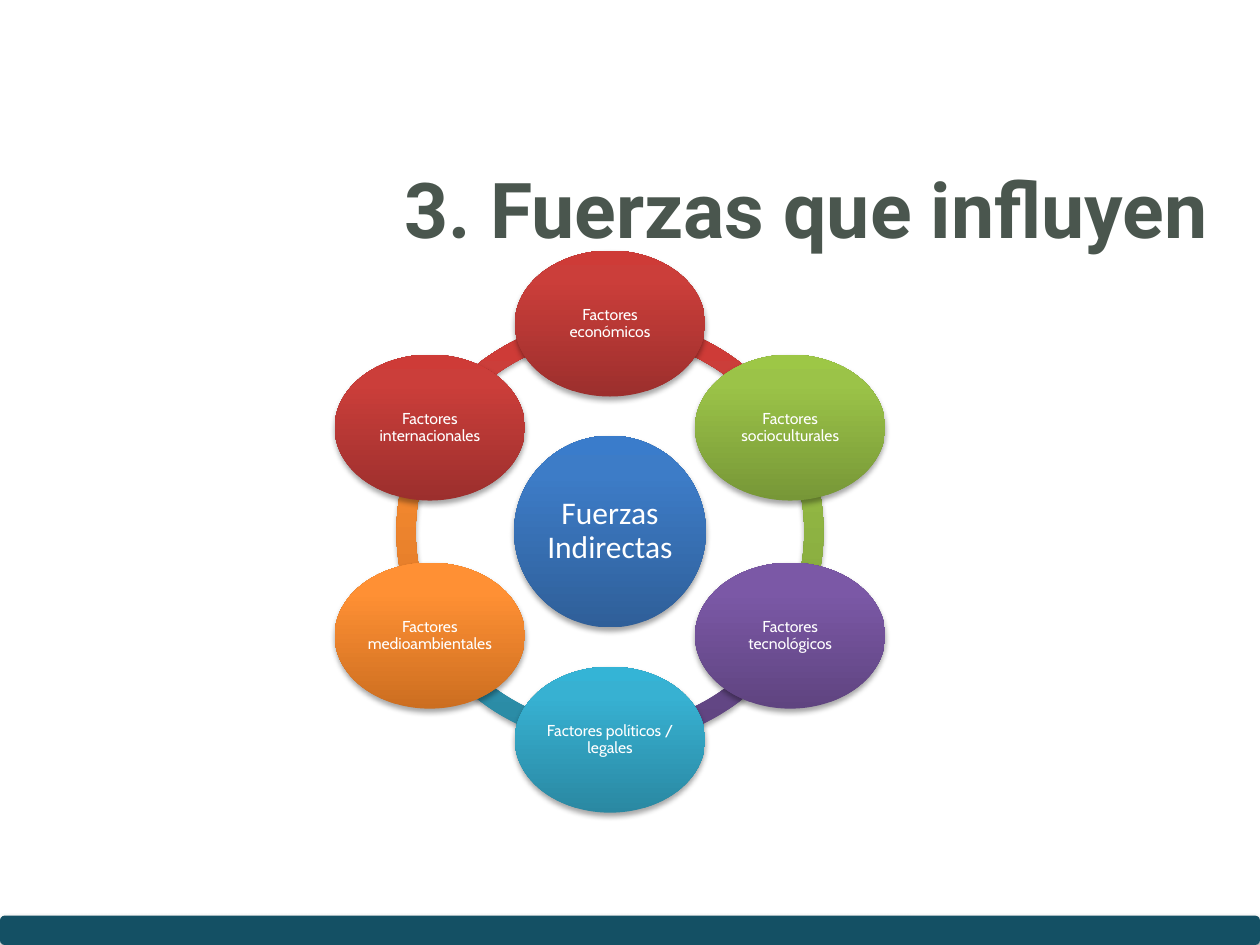
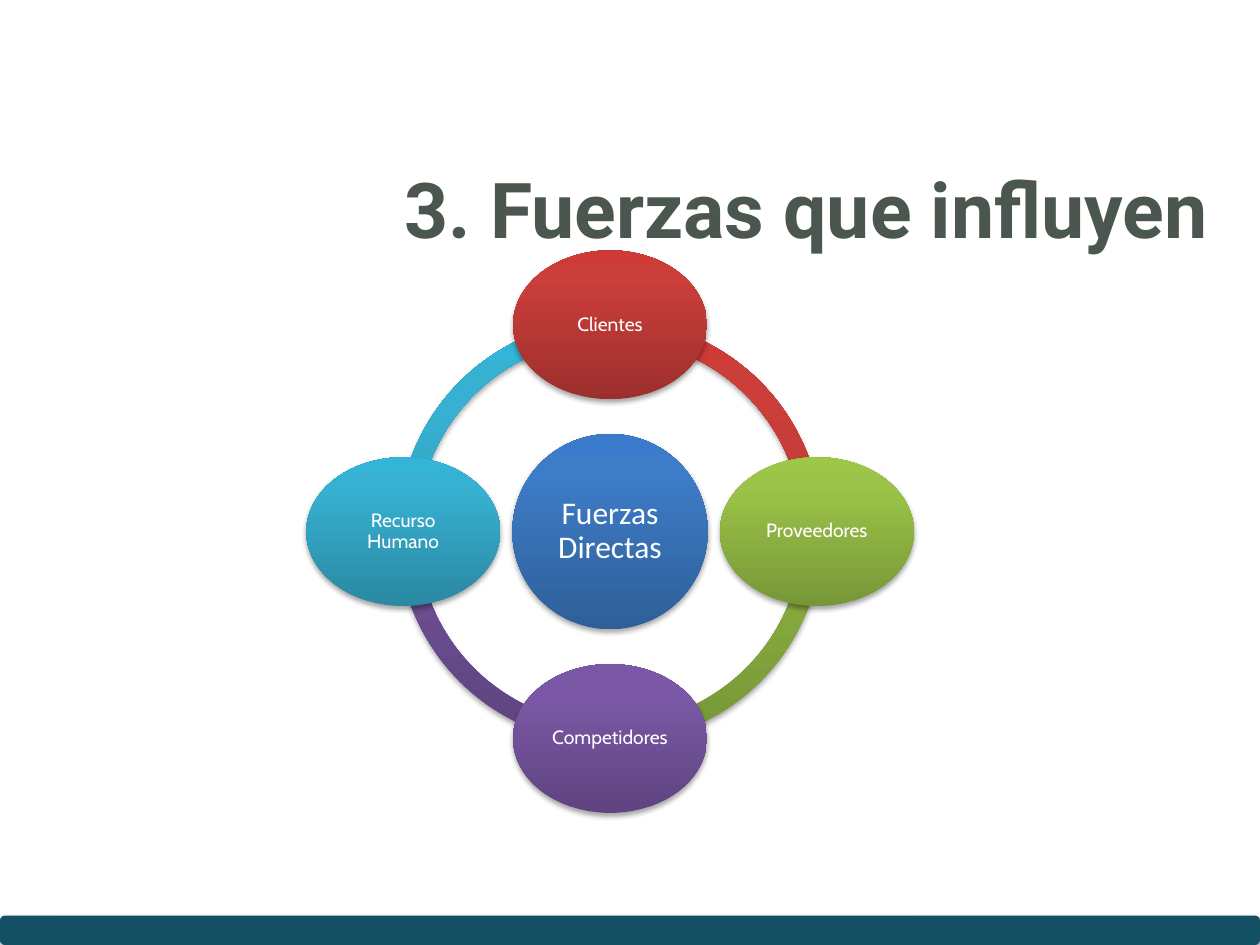
import copy
import math

import lxml.etree
import pptx
import pptx.dml.color
import pptx.enum.shapes
import pptx.enum.text
import pptx.oxml.ns
import pptx.util

Pt = pptx.util.Pt
RGB = pptx.dml.color.RGBColor.from_string
SHAPE = pptx.enum.shapes.MSO_SHAPE
ALIGN = pptx.enum.text.PP_ALIGN
qn = pptx.oxml.ns.qn

COLORS = {"band": "145064", "title": "4A564E", "label": "FFFFFF", "shadow": "000000"}
# Dark bottom, body and top of each vertical gradient
GRADIENTS = {
    "blue": ("2F5F99", "3D7CC7", "3A7CCB"),
    "red": ("9C2F2D", "CB3E3A", "CE3B37"),
    "green": ("779737", "9BC348", "9DC746"),
    "purple": ("5F4480", "7B58A6", "7C57A8"),
    "teal": ("2A88A2", "37B1D2", "34B4D6"),
    "orange": ("CC6E20", "FF9034", "FF9136"),
}
TITLE = "3. Fuerzas que influyen"
CENTER_X, CENTER_Y = 348.6, 303.8

# Forces run clockwise from the top; all sizes in points
WHEELS = [
    {
        "hub": "Fuerzas Indirectas", "hub_size": 109.6,
        "ring_size": 244, "ring_width": 0.045,
        "orbit": 118.9, "node": (108.8, 83.4), "font_size": 9, "inset": 0.8,
        "forces": [
            ("Factores económicos", "red"),
            ("Factores socioculturales", "green"),
            ("Factores tecnológicos", "purple"),
            ("Factores políticos / legales", "teal"),
            ("Factores medioambientales", "orange"),
            ("Factores internacionales", "red"),
        ],
    },
    {
        "hub": "Fuerzas Directas", "hub_size": 111.6,
        "ring_size": 242.6, "ring_width": 0.046,
        "orbit": 118.2, "node": (110.8, 85), "font_size": 11, "inset": 1.2,
        "forces": [
            ("Clientes", "red"),
            ("Proveedores", "green"),
            ("Competidores", "purple"),
            ("Recurso Humano", "teal"),
        ],
    },
]


def add_shadowed(slide, kind, x, y, width, height, gradient=None):
    """Add a borderless shape centred on x, y with the shared soft shadow."""
    shape = slide.shapes.add_shape(
        kind, Pt(x - width / 2), Pt(y - height / 2), Pt(width), Pt(height))
    shape.line.fill.background()
    shape.shadow.inherit = False
    properties = shape._element.spPr
    shadow = lxml.etree.SubElement(
        properties.find(qn("a:effectLst")), qn("a:outerShdw"),
        blurRad=str(Pt(3.1)), dist=str(Pt(1.8)), dir="5400000", rotWithShape="0")
    shade = lxml.etree.SubElement(shadow, qn("a:srgbClr"), val=COLORS["shadow"])
    lxml.etree.SubElement(shade, qn("a:alpha"), val="35000")
    if gradient:
        shape.fill.gradient()
        shape.fill.gradient_angle = 90
        stop_list = properties.find(qn("a:gradFill")).find(qn("a:gsLst"))
        stop_list.append(copy.deepcopy(stop_list[0]))
        for stop, position, color in zip(
                shape.fill.gradient_stops, (0, 0.8, 1), GRADIENTS[gradient]):
            stop.position = position
            stop.color.rgb = RGB(color)
    else:
        shape.fill.solid()
        shape.fill.fore_color.rgb = RGB(COLORS["band"])
    return shape


def write(shape, text, font, size, color, align, inset):
    frame = shape.text_frame
    frame.text = text
    frame.word_wrap = True
    frame.vertical_anchor = pptx.enum.text.MSO_ANCHOR.MIDDLE
    frame.margin_left = frame.margin_right = Pt(inset)
    frame.margin_top = frame.margin_bottom = Pt(inset)
    paragraph = frame.paragraphs[0]
    paragraph.alignment = align
    run_font = paragraph.runs[0].font
    run_font.name = font
    run_font.size = Pt(size)
    run_font.color.rgb = RGB(COLORS[color])
    return paragraph


deck = pptx.Presentation()
deck.slide_width, deck.slide_height = Pt(720), Pt(540)

for wheel in WHEELS:
    slide = deck.slides.add_slide(deck.slide_layouts[6])
    add_shadowed(slide, SHAPE.ROUNDED_RECTANGLE, 360, 531.6, 720, 16.8)
    title = slide.shapes.add_textbox(Pt(100), Pt(73.4), Pt(597.7), Pt(90))
    heading = write(title, TITLE, "Roboto", 44, "title", ALIGN.RIGHT, 7.2)
    heading.runs[0].font.bold = True

    forces = wheel["forces"]
    step = 360 / len(forces)

    # Each arc takes the colour of the force it leaves
    for index, (force, color) in reversed(list(enumerate(forces))):
        start = (270 + index * step) % 360
        arc = add_shadowed(slide, SHAPE.BLOCK_ARC, CENTER_X, CENTER_Y,
                           wheel["ring_size"], wheel["ring_size"], color)
        # Angles are stored in 60000ths of a degree, adjustments in 100000ths
        arc.adjustments[0] = start * 0.6
        arc.adjustments[1] = (start + step) % 360 * 0.6
        arc.adjustments[2] = wheel["ring_width"]

    hub = add_shadowed(slide, SHAPE.OVAL, CENTER_X, CENTER_Y,
                       wheel["hub_size"], wheel["hub_size"], "blue")
    label = write(hub, wheel["hub"], "Calibri", 18, "label", ALIGN.CENTER, 1.8)
    label.line_spacing = 0.9

    for index, (force, color) in enumerate(forces):
        angle = math.radians(270 + index * step)
        node = add_shadowed(
            slide, SHAPE.OVAL,
            CENTER_X + wheel["orbit"] * math.cos(angle),
            CENTER_Y + wheel["orbit"] * math.sin(angle),
            *wheel["node"], color)
        label = write(node, force, "Cabin", wheel["font_size"], "label",
                      ALIGN.CENTER, wheel["inset"])
        label.line_spacing = 0.9

deck.save("out.pptx")
